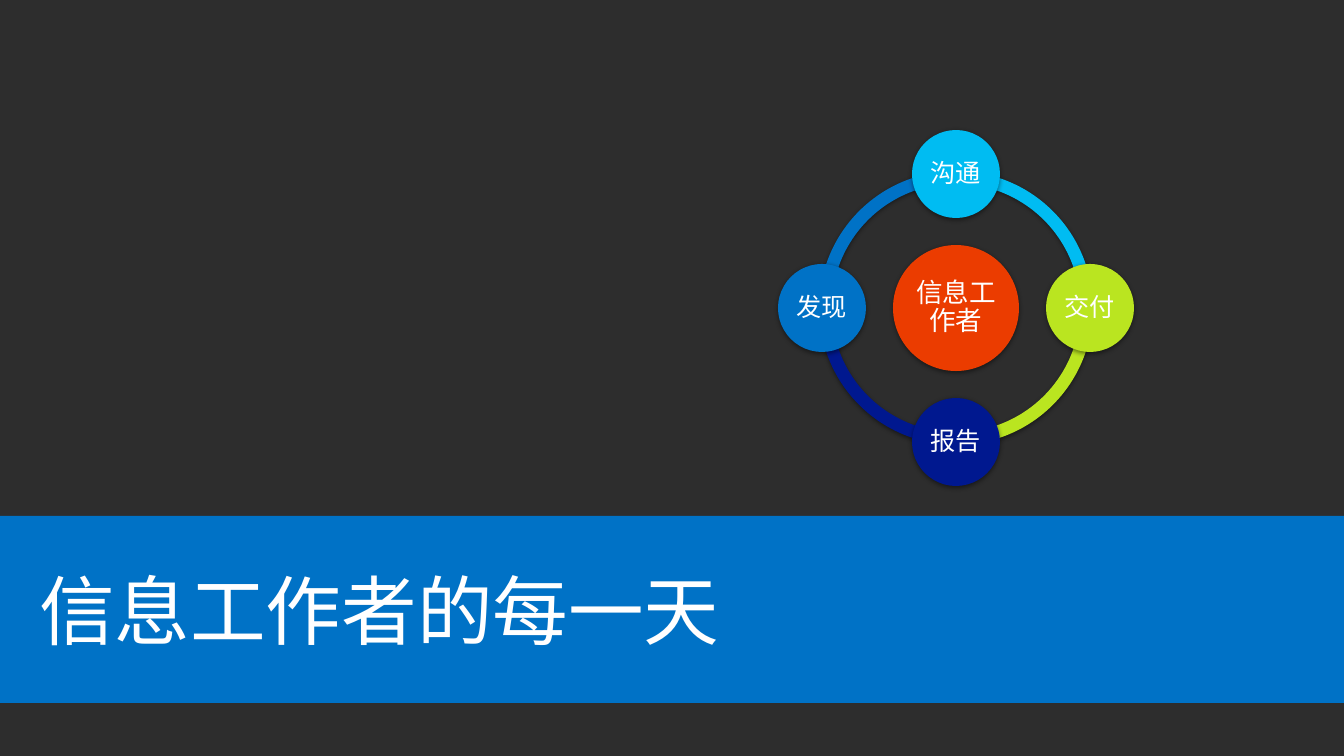
from lxml.etree import SubElement
from pptx import Presentation
from pptx.dml.color import RGBColor
from pptx.enum.shapes import MSO_SHAPE as SHAPE
from pptx.enum.text import MSO_ANCHOR as ANCHOR, PP_ALIGN as ALIGN
from pptx.oxml.ns import qn
from pptx.util import Emu, Pt

SCALE = 914400 / 100.8

DARK = RGBColor(0x2D, 0x2D, 0x2D)
WHITE = RGBColor(0xFF, 0xFF, 0xFF)
BLUE = RGBColor(0x00, 0x72, 0xC6)
NAVY = RGBColor(0x00, 0x18, 0x8F)
LIME = RGBColor(0xBA, 0xE5, 0x20)
CYAN = RGBColor(0x00, 0xBC, 0xF2)
ORANGE = RGBColor(0xEB, 0x3C, 0x00)

CENTER_X, CENTER_Y = 956, 308
ORBIT = 134
RING_SIZE, HUB_SIZE, NODE_SIZE = 274, 126, 88

# label, colour, direction from the hub, start and end angle of its arc
STEPS = [
    ("发现", BLUE, (-1, 0), 180, 270),
    ("报告", NAVY, (0, 1), 90, 180),
    ("交付", LIME, (1, 0), 0, 90),
    ("沟通", CYAN, (0, -1), 270, 0),
]


def px(n):
    return Emu(round(n * SCALE))


def add_filled(s, kind, x, y, w, h, color):
    sp = s.shapes.add_shape(kind, px(x), px(y), px(w), px(h))
    sp.fill.solid()
    sp.fill.fore_color.rgb = color
    sp.line.fill.background()
    sp.shadow.inherit = False
    return sp


def add_centered(s, kind, cx, cy, size, color):
    """Add a square-framed shape around a centre, with a soft shadow below."""
    sp = add_filled(s, kind, cx - size / 2, cy - size / 2, size, size, color)
    effects = sp._element.spPr.find(qn("a:effectLst"))
    shadow = SubElement(effects, qn("a:outerShdw"), blurRad=str(Pt(3.5)),
                        dist=str(Pt(1.1)), dir="5400000", rotWithShape="0")
    black = SubElement(shadow, qn("a:srgbClr"), val="000000")
    SubElement(black, qn("a:alpha"), val="45000")
    return sp


def write(sp, text, size, font="Roboto", align=ALIGN.CENTER, spacing=0.9,
          insets=(3, 3, 3, 3)):
    """Fill a shape with one paragraph; insets are left, top, right, bottom."""
    tf = sp.text_frame
    tf.word_wrap = True
    tf.vertical_anchor = ANCHOR.MIDDLE
    (tf.margin_left, tf.margin_top,
     tf.margin_right, tf.margin_bottom) = map(px, insets)
    p = tf.paragraphs[0]
    p.alignment = align
    p.line_spacing = spacing
    r = p.add_run()
    r.text = text
    r.font.size = Pt(size)
    r.font.name = font
    r.font.color.rgb = WHITE
    SubElement(r.font._element, qn("a:ea"), typeface=font)


def add_arc(s, color, start, end):
    sp = add_centered(s, SHAPE.BLOCK_ARC, CENTER_X, CENTER_Y, RING_SIZE, color)
    # Angles are stored in 1/60000 degree, adjustments in units of 100000
    for i, value in enumerate((start * 0.6, end * 0.6, 0.046)):
        sp.adjustments[i] = value


def add_disc(s, label, cx, cy, diameter, color, size):
    sp = add_centered(s, SHAPE.OVAL, cx, cy, diameter, color)
    write(sp, label, size)


def add_cycle(s):
    for _, color, _, start, end in STEPS:
        add_arc(s, color, start, end)
    add_disc(s, "信息工作者", CENTER_X, CENTER_Y, HUB_SIZE, ORANGE, 19)
    for label, color, (dx, dy), _, _ in STEPS:
        add_disc(s, label, CENTER_X + dx * ORBIT, CENTER_Y + dy * ORBIT,
                 NODE_SIZE, color, 18)


def main():
    prs = Presentation()
    prs.slide_width, prs.slide_height = px(1344), px(756)
    s = prs.slides.add_slide(prs.slide_layouts[6])
    s.background.fill.solid()
    s.background.fill.fore_color.rgb = DARK

    banner = add_filled(s, SHAPE.RECTANGLE, 0, 516, 1348, 187, BLUE)
    write(banner, "信息工作者的每一天", 54, font="Noto Sans CJK SC",
          align=ALIGN.LEFT, spacing=1.0, insets=(39, 5, 10, 5))
    add_cycle(s)
    prs.save("out.pptx")


if __name__ == "__main__":
    main()
